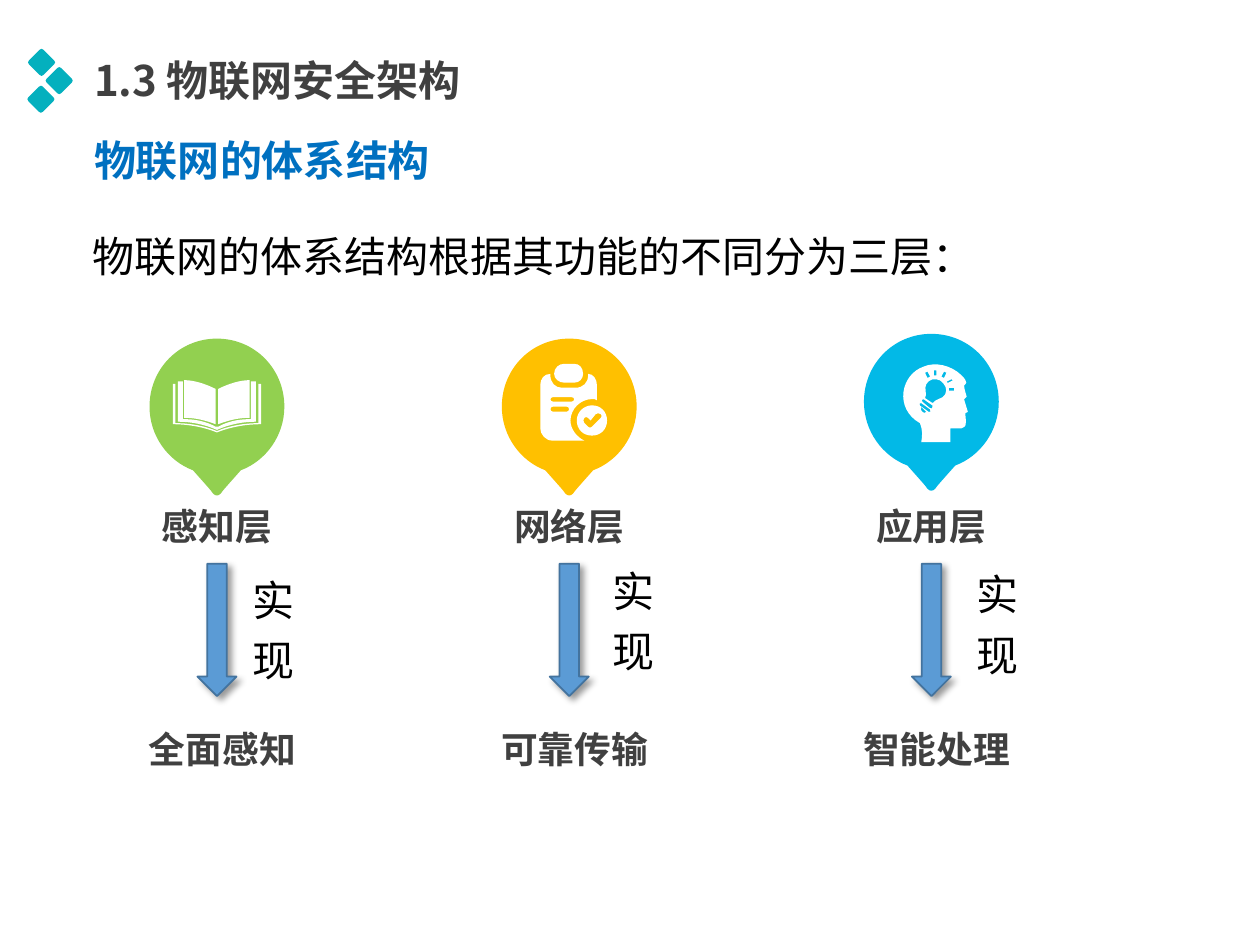
from dataclasses import dataclass

from lxml import etree
from pptx import Presentation
from pptx import util as u
from pptx.dml.color import RGBColor
from pptx.enum import shapes, text
from pptx.oxml.ns import qn

FONT = "Noto Sans CJK SC"
WHITE = RGBColor(0xFF, 0xFF, 0xFF)
BLACK = RGBColor(0, 0, 0)
GREY = RGBColor(0x40, 0x40, 0x40)
BLUE = RGBColor(0x00, 0x70, 0xC0)
TEAL = RGBColor(0x04, 0xB0, 0xBE)
GREEN = RGBColor(0x92, 0xD0, 0x50)
AMBER = RGBColor(0xFF, 0xC0, 0x00)
CYAN = RGBColor(0x02, 0xB9, 0xE7)
ARROW_FILL = RGBColor(0x5B, 0x9B, 0xD5)
ARROW_LINE = RGBColor(0x43, 0x73, 0x9E)

WIDTH, HEIGHT = u.Inches(10), u.Inches(7.5)
UNIT = u.Inches(0.01)  # unit of the outlines below

# Outlines: M move, L line, C cubic curve, Z close; pins and icons start at the pin's top centre
DIAMOND = """M -10 -1.5 L -1.5 -10 C -1 -11 1 -11 1.5 -10 L 10 -1.5 C 11 -1 11 1 10 1.5
L 1.5 10 C 1 11 -1 11 -1.5 10 L -10 1.5 C -11 1 -11 -1 -10 -1.5 Z"""
PIN = """M 0 0 C 30 0 53.5 24 53.5 54 C 53.5 77 39 97 19 104.5 L 11 113.5 C 8 117 5 120 3 123
C 1 125 -1 125 -3 123 C -5 120 -8 117 -11 113.5 L -19 104.5 C -39 97 -53.5 77 -53.5 54
C -53.5 24 -30 0 0 0 Z"""
HALF_BOOK = """M 33 36 L 33 67.2 L 30 67.2 C 20 67.5 9 69.5 0 73.4 L 0 74.5 C 11 70 24 68 35 68
L 35 36 Z M 26 63 L 26 33 C 18 33 9 36 1 40 L 1 68 C 9 65 17 63 25 63 Z
M 0 72.5 C 10 68 21 66 31 66 L 31 34 L 27 34 L 27 64 L 25 64 C 17 64 8 66 1 70 L 0 70 Z"""
CLIPBOARD = """M 11 28 C 11 32 8 35 4 35 L -4 35 C -8 35 -12 32 -12 28 C -12 23 -8 20 -4 20
L 4 20 C 8 20 11 23 11 28 Z
M 15 28 L 15 29 C 15 35 11 39 5 39 L -6 39 C -11 39 -15 35 -15 29 L -15 28
C -20 28 -23 32 -23 37 L -23 71 C -23 76 -19 81 -13 81 L 12 81 C 6 78 1 72 1 65
C 1 56 9 48 18 48 C 20 48 21 48 22 49 L 22 37 C 22 32 19 28 15 28 Z
M -2 58 L -13 58 C -15.5 58 -15.5 54 -13 54 L -2 54 C 0.5 54 0.5 58 -2 58 Z
M 2 50 L -13 50 C -15.5 50 -15.5 46.5 -13 46.5 L 2 46.5 C 4.5 46.5 4.5 50 2 50 Z
M 18 53 C 12 53 6 58 6 65 C 6 72 11 77 18 77 C 25 77 30 72 30 65 C 30 58 25 53 18 53 Z
M 25 63 L 18 70 C 17 71 16 71 15 70 L 12 67 C 11 66 11 64 12 63 C 13 62 14 62 15 63
L 17 65 L 21 60 C 22 59 24 59 25 60 C 26 61 26 62 25 63 Z"""
HEAD = """M -8 58 C -9 60 -8 61 -7 62 C -6 63 -5 63 -4 62 Z
M 7 37 C 3 35 -2 36 -4 40 C -6 43 -3 48 -5 51 L 1 55 C 4 51 9 52 11 48 C 13 44 11 40 7 37 Z
M 1 57 L -6 52 C -7 51.5 -9 53 -7 54 L -1 59 C 0 60 1.5 59 1 57 Z
M -1 60 L -8 55 C -9 54.5 -10.5 56 -9 57 L -2 62 C -1 63 0 61 -1 60 Z
M 10 35 L 12 31 L 10 30 L 8 34 Z M 13 39 L 17 37 L 16 36 L 12 38 Z
M 4 33 L 4 29 L 2 29 L 2 33 Z M -1 34 L -3 30 L -5 31 L -3 35 Z
M 14 45 L 18 45 L 18 43 L 14 43 Z
M -8 86 C -7 81 -7 76 -9 71 C -30 59 -24 32 -6 26 C 3 22 16 25 24 33 C 30 39 27 40 27 40
L 26 41 C 26 44 28 49 28 50 C 27 51 26 52 26 52 L 29 62 L 27 63 C 27 67 28 69 27 73
C 27 73 25 75 24 75 L 15 75 L 15 86 Z"""


@dataclass(frozen=True)
class Area:
    """A rectangle in percent of the slide's width and height."""
    left: float
    top: float
    width: float
    height: float

    def lengths(self) -> tuple[int, ...]:
        return across(self.left), down(self.top), across(self.width), down(self.height)


@dataclass(frozen=True)
class Style:
    size: int
    color: RGBColor
    bold: bool = True
    align: text.PP_ALIGN | None = None
    body: bool = False


HEADING = Style(24, GREY)
SUBHEADING = Style(24, BLUE)
LABEL = Style(21, GREY, align=text.PP_ALIGN.CENTER)
BODY = Style(24, BLACK, bold=False, align=text.PP_ALIGN.JUSTIFY, body=True)


@dataclass(frozen=True)
class Layer:
    name: str
    outcome: str
    color: RGBColor
    icon: str
    mirrored: bool
    axis: float
    pin_top: float
    label_width: float
    verb_left: float
    verb_top: float


LAYERS = (
    Layer("感知层", "全面感知", GREEN, HALF_BOOK, True, 17.22, 35.83, 21.8, 19.43, 57.5),
    Layer("网络层", "可靠传输", AMBER, CLIPBOARD, False, 45.18, 35.83, 14.6, 48.04, 56.56),
    Layer("应用层", "智能处理", CYAN, HEAD, False, 73.92, 35.33, 17.7, 76.9, 56.93),
)


def across(percent: float) -> int:
    return round(WIDTH * percent / 100)


def down(percent: float) -> int:
    return round(HEIGHT * percent / 100)


def add_outline(target, outline: str, x: float, y: float, color: RGBColor,
                mirrored: bool = False) -> None:
    """Draw an outline, and its mirror image if asked, as one freeform with true curves."""
    builder, commands = None, []
    for flip in (1, -1) if mirrored else (1,):
        tokens = iter(outline.split())
        for command in tokens:
            commands.append(command)
            count = {"M": 1, "L": 1, "C": 3, "Z": 0}[command]
            points = [(flip * float(next(tokens)) * UNIT, float(next(tokens)) * UNIT)
                      for _ in range(count)]
            if builder is None:
                builder = target.build_freeform(*points[0], scale=1.0)
            elif command == "M":
                builder.move_to(*points[0])
            else:
                builder.add_line_segments(points, close=command == "Z")
    shape = builder.convert_to_shape(across(x), down(y))
    bend_curves(shape, commands)
    shape.shadow.inherit = False
    shape.fill.solid()
    shape.fill.fore_color.rgb = color
    shape.line.fill.background()


def bend_curves(shape, commands: list[str]) -> None:
    """Join the three line segments of each C command into one cubic curve."""
    segments = iter(list(next(shape._element.iter(qn("a:path")))))
    for command in commands:
        segment = next(segments)
        if command == "C":
            segment.tag = qn("a:cubicBezTo")
            for _ in range(2):
                spare = next(segments)
                segment.append(spare[0])
                spare.getparent().remove(spare)


def add_text(page, area: Area, style: Style, words: str) -> None:
    frame = page.shapes.add_textbox(*area.lengths()).text_frame
    frame.word_wrap = True
    margins = (0.06, 0, 0.18, 0) if style.body else (0.07, 0.04, 0.07, 0.04)
    (frame.margin_left, frame.margin_top,
     frame.margin_right, frame.margin_bottom) = map(u.Inches, margins)
    para = frame.paragraphs[0]
    para.alignment = style.align
    if style.body:
        frame.vertical_anchor = text.MSO_ANCHOR.MIDDLE
        para.line_spacing = 1.2
    else:
        frame.auto_size = text.MSO_AUTO_SIZE.SHAPE_TO_FIT_TEXT
    span = para.add_run()
    span.text = words
    span.font.size, span.font.bold = u.Pt(style.size), style.bold
    span.font.color.rgb, span.font.name = style.color, FONT
    etree.SubElement(span._r.get_or_add_rPr(), qn("a:ea"), typeface=FONT)


def add_arrow(page, axis: float) -> None:
    area = Area(axis - 5.25, 64.6, 10.5, 4.13)
    arrow = page.shapes.add_shape(shapes.MSO_SHAPE.RIGHT_ARROW, *area.lengths())
    arrow.rotation = 90
    arrow.fill.solid()
    arrow.fill.fore_color.rgb = ARROW_FILL
    arrow.line.color.rgb, arrow.line.width = ARROW_LINE, u.Pt(1)
    arrow.shadow.inherit = False
    effects = arrow._element.spPr.find(qn("a:effectLst"))
    shadow = etree.SubElement(effects, qn("a:outerShdw"), blurRad=str(u.Pt(4)),
                              dist=str(u.Pt(3)), dir="2700000", algn="tl", rotWithShape="0")
    color = etree.SubElement(shadow, qn("a:srgbClr"), val=str(BLACK))
    etree.SubElement(color, qn("a:alpha"), val="40000")


def add_layer(page, layer: Layer) -> None:
    badge = page.shapes.add_group_shape().shapes
    add_outline(badge, PIN, layer.axis, layer.pin_top, layer.color)
    add_outline(badge, layer.icon, layer.axis, layer.pin_top, WHITE, layer.mirrored)
    left, width = layer.axis - layer.label_width / 2, layer.label_width
    add_text(page, Area(left, 52.73, width, 5.73), LABEL, layer.name)
    add_arrow(page, layer.axis)
    add_text(page, Area(layer.verb_left, layer.verb_top, 5.8, 17.2), BODY, "实现")
    add_text(page, Area(left + 0.42, 76.4, width, 5.73), LABEL, layer.outcome)


def main() -> None:
    deck = Presentation()
    deck.slide_width, deck.slide_height = WIDTH, HEIGHT
    page = deck.slides.add_slide(deck.slide_layouts[6])
    for x, y in ((3.3, 6.6), (4.7, 8.53), (3.25, 10.5)):
        add_outline(page.shapes, DIAMOND, x, y, TEAL)
    add_text(page, Area(6.76, 5.25, 34.5, 6.4), HEADING, "1.3 物联网安全架构")
    add_text(page, Area(6.76, 13.7, 28.8, 6.4), SUBHEADING, "物联网的体系结构")
    add_text(page, Area(6.76, 22.93, 76.5, 7.2), BODY, "物联网的体系结构根据其功能的不同分为三层：")
    for layer in LAYERS:
        add_layer(page, layer)
    deck.save("out.pptx")


if __name__ == "__main__":
    main()
